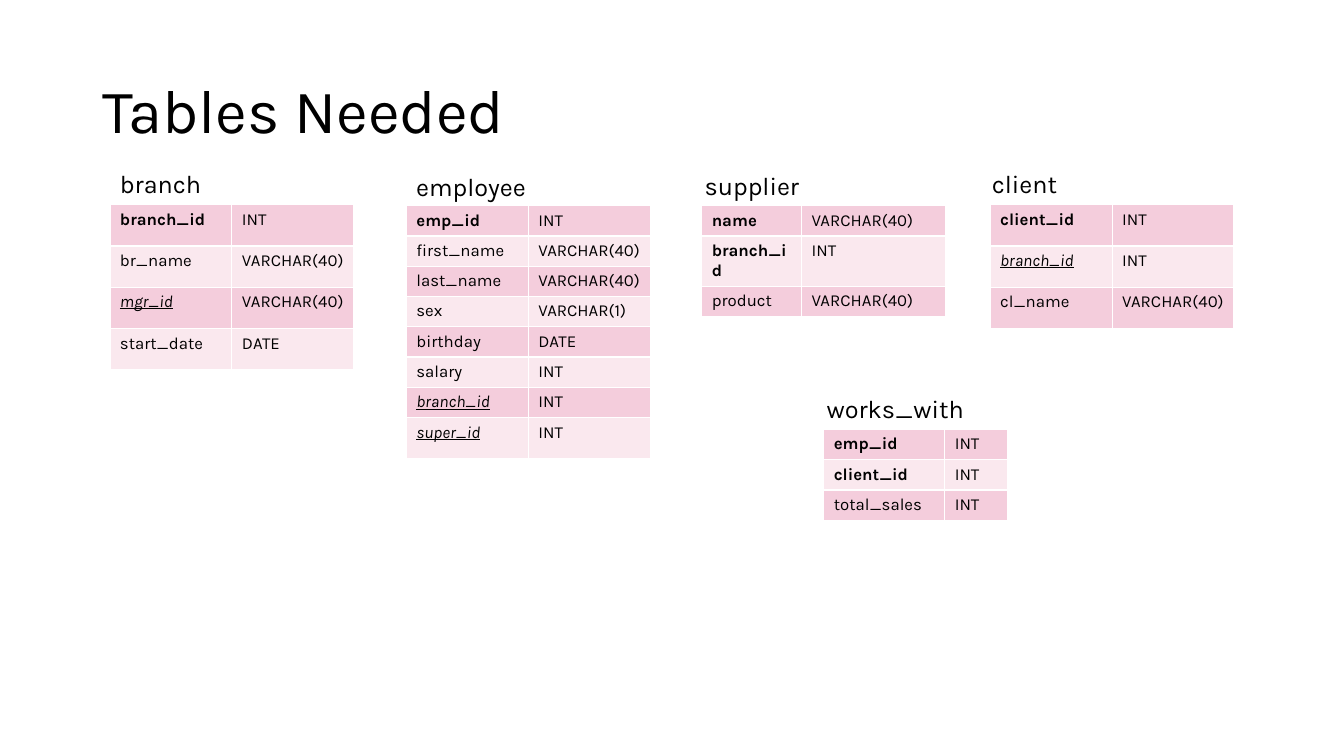
import pptx
import pptx.dml.color
import pptx.enum.text
import pptx.oxml
import pptx.oxml.ns
import pptx.util

Inches = pptx.util.Inches

TITLE = "Tables Needed"
FONT = "Karla"
COLORS = {"text": "000000", "odd": "F4CDDC", "even": "FAE8EE", "border": "FFFFFF"}
KEY_STYLES = {
    "primary": {"bold": True},
    "foreign": {"italic": True, "underline": True},
    "plain": {},
}
LINE_HEIGHT = 0.29
TALL_ROW = 0.41
WRAPPED_ROW = 0.48

ENTITIES = [
    {"name": "branch", "label": (1.09, 1.62), "table": (1.09, 2.03),
     "columns": (1.21, 1.21), "heights": [TALL_ROW] * 4,
     "fields": [("branch_id", "INT", "primary"),
                ("br_name", "VARCHAR(40)", "plain"),
                ("mgr_id", "VARCHAR(40)", "foreign"),
                ("start_date", "DATE", "plain")]},
    {"name": "employee", "label": (4.03, 1.65), "table": (4.03, 2.04),
     "columns": (1.21, 1.21), "heights": [LINE_HEIGHT] * 7 + [TALL_ROW],
     "fields": [("emp_id", "INT", "primary"),
                ("first_name", "VARCHAR(40)", "plain"),
                ("last_name", "VARCHAR(40)", "plain"),
                ("sex", "VARCHAR(1)", "plain"),
                ("birthday", "DATE", "plain"),
                ("salary", "INT", "plain"),
                ("branch_id", "INT", "foreign"),
                ("super_id", "INT", "foreign")]},
    {"name": "supplier", "label": (6.89, 1.64), "table": (6.96, 2.04),
     "columns": (0.99, 1.43), "heights": [LINE_HEIGHT, WRAPPED_ROW, LINE_HEIGHT],
     "fields": [("name", "VARCHAR(40)", "primary"),
                ("branch_id", "INT", "primary"),
                ("product", "VARCHAR(40)", "plain")]},
    {"name": "client", "label": (9.74, 1.62), "table": (9.82, 2.03),
     "columns": (1.21, 1.21), "heights": [TALL_ROW] * 3,
     "fields": [("client_id", "INT", "primary"),
                ("branch_id", "INT", "foreign"),
                ("cl_name", "VARCHAR(40)", "plain")]},
    {"name": "works_with", "label": (8.1, 3.85), "table": (8.17, 4.26),
     "columns": (1.2, 0.62), "heights": [LINE_HEIGHT] * 3,
     "fields": [("emp_id", "INT", "primary"),
                ("client_id", "INT", "primary"),
                ("total_sales", "INT", "plain")]},
]


def color(name):
    return pptx.dml.color.RGBColor.from_string(COLORS[name])


def write_text(text_frame, text, size=12, bold=False, italic=False,
               underline=False, line_spacing=None):
    paragraph = text_frame.paragraphs[0]
    paragraph.alignment = pptx.enum.text.PP_ALIGN.LEFT
    paragraph.line_spacing = line_spacing
    run = paragraph.add_run()
    run.text = text
    run.font.name = FONT
    run.font.size = pptx.util.Pt(size)
    run.font.bold = bold
    run.font.italic = italic
    run.font.underline = underline
    run.font.color.rgb = color("text")


def set_borders(cell):
    properties = cell._tc.get_or_add_tcPr()
    for index, side in enumerate(("lnL", "lnR", "lnT", "lnB")):
        properties.insert(index, pptx.oxml.parse_xml(
            f'<a:{side} {pptx.oxml.ns.nsdecls("a")} w="12700"><a:solidFill>'
            f'<a:srgbClr val="{COLORS["border"]}"/></a:solidFill></a:{side}>'))


def add_label(slide, entity):
    left, top = entity["label"]
    label = slide.shapes.add_textbox(
        Inches(left), Inches(top), Inches(1.64), Inches(0.4))
    label.text_frame.word_wrap = True
    label.text_frame.auto_size = pptx.enum.text.MSO_AUTO_SIZE.SHAPE_TO_FIT_TEXT
    write_text(label.text_frame, entity["name"], size=18)


def add_entity_table(slide, entity):
    left, top = entity["table"]
    widths, heights, fields = entity["columns"], entity["heights"], entity["fields"]
    table = slide.shapes.add_table(
        len(fields), len(widths), Inches(left), Inches(top),
        Inches(sum(widths)), Inches(sum(heights))).table
    table.first_row = False
    table.horz_banding = False
    for column, width in zip(table.columns, widths):
        column.width = Inches(width)
    for index, (name, data_type, key) in enumerate(fields):
        table.rows[index].height = Inches(heights[index])
        styles = (KEY_STYLES[key], {})
        for cell, text, style in zip(table.rows[index].cells, (name, data_type), styles):
            cell.fill.solid()
            cell.fill.fore_color.rgb = color("even" if index % 2 else "odd")
            set_borders(cell)
            write_text(cell.text_frame, text, **style)


def main():
    presentation = pptx.Presentation()
    presentation.slide_width = Inches(13.33)
    presentation.slide_height = Inches(7.5)
    slide = presentation.slides.add_slide(presentation.slide_layouts[5])

    title = slide.shapes.title
    title.left, title.top = Inches(0.92), Inches(0.4)
    title.width, title.height = Inches(11.5), Inches(1.45)
    title.text_frame.vertical_anchor = pptx.enum.text.MSO_ANCHOR.MIDDLE
    title.text_frame.auto_size = pptx.enum.text.MSO_AUTO_SIZE.NONE
    write_text(title.text_frame, TITLE, size=44, line_spacing=0.9)

    for entity in ENTITIES:
        add_entity_table(slide, entity)
        add_label(slide, entity)

    presentation.save("out.pptx")


if __name__ == "__main__":
    main()
